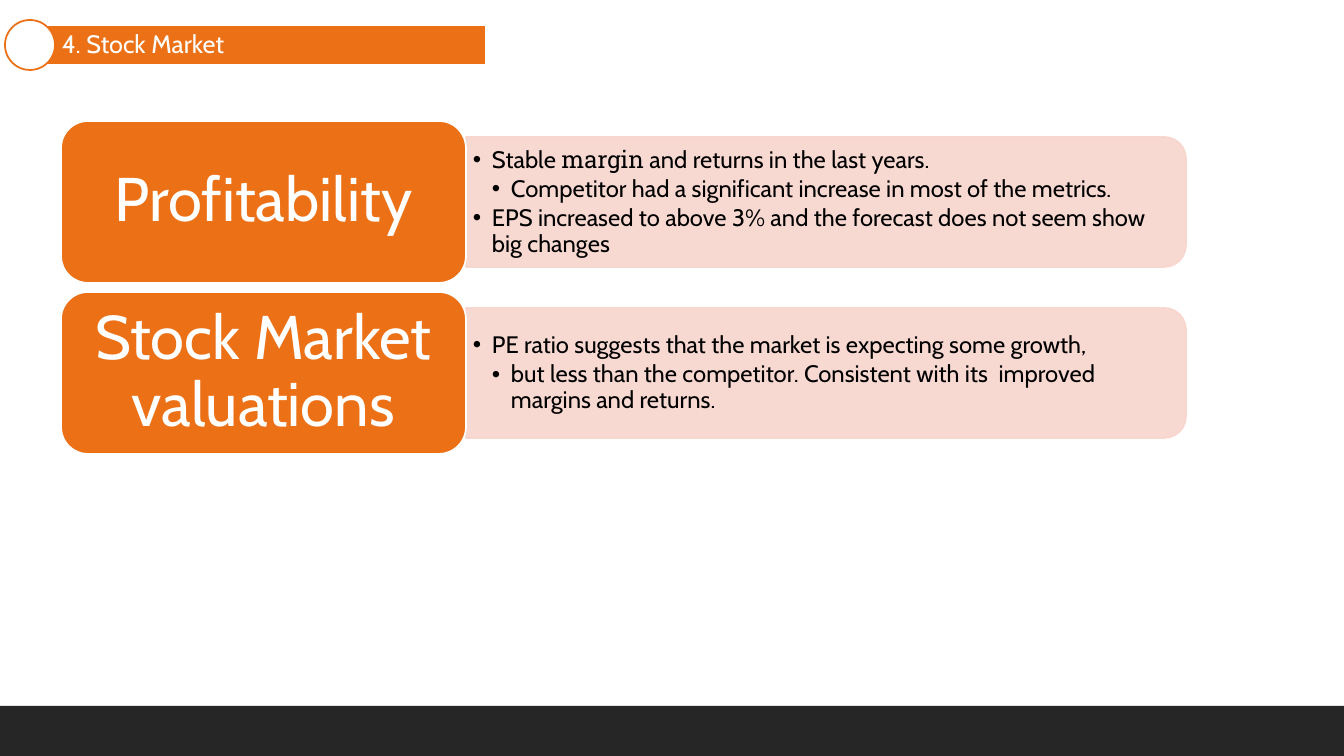
from dataclasses import dataclass

from lxml.etree import SubElement
from pptx import Presentation
from pptx.dml.color import RGBColor
from pptx.enum.shapes import MSO_SHAPE
from pptx.enum.text import MSO_ANCHOR, MSO_AUTO_SIZE, PP_ALIGN
from pptx.oxml.ns import qn
from pptx.util import Emu, Pt


@dataclass(frozen=True)
class Theme:
    """Colours, fonts and type sizes of the deck."""
    orange: str = "EC7016"
    pink: str = "F8D5CC"
    dark: str = "262626"
    white: str = "FFFFFF"
    black: str = "000000"
    font: str = "Cabin"
    accent_font: str = "Roboto Slab"
    title_size: int = 18
    tile_size: int = 44
    list_size: int = 17
    line_width: float = 1.25
    line_spacing: float = 0.9
    space_after: float = 2.5


def px(count):
    """Turn whole pixels into EMU."""
    return Emu(round(count * 914400 / 100.8))


class SlideBuilder:
    """Draws styled elements on the current slide."""

    def __init__(self, slide, theme):
        self.slide = slide
        self.theme = theme

    def paint(self, shape, fill, line=None):
        shape.fill.solid()
        shape.fill.fore_color.rgb = RGBColor.from_string(fill)
        if line:
            shape.line.color.rgb = RGBColor.from_string(line)
            shape.line.width = Pt(self.theme.line_width)
        else:
            shape.line.fill.background()

    def shape(self, kind, bounds, fill, line=None):
        shape = self.slide.shapes.add_shape(kind, *map(px, bounds))
        shape.shadow.inherit = False
        self.paint(shape, fill, line)
        return shape

    def placeholder(self, index, bounds):
        box = self.slide.placeholders[index]
        box.left, box.top, box.width, box.height = map(px, bounds)
        box.element.getparent().append(box.element)
        return box

    def frame(self, box, left, top, right, bottom):
        frame = box.text_frame
        frame.word_wrap = True
        frame.auto_size = MSO_AUTO_SIZE.NONE
        frame.vertical_anchor = MSO_ANCHOR.MIDDLE
        frame.margin_left, frame.margin_top = px(left), px(top)
        frame.margin_right, frame.margin_bottom = px(right), px(bottom)
        return frame

    def style(self, para, size, color, align):
        para.alignment = align
        para.line_spacing = self.theme.line_spacing
        para.space_before = Pt(0)
        para.font.name = self.theme.font
        para.font.size = Pt(size)
        para.font.color.rgb = RGBColor.from_string(color)

    def title(self, text, bounds):
        theme = self.theme
        box = self.placeholder(0, bounds)
        self.paint(box, theme.orange, theme.white)
        para = self.frame(box, 32, 5, 5, 5).paragraphs[0]
        para.text = text
        self.style(para, theme.title_size, theme.white, PP_ALIGN.LEFT)

    def panel(self, left, top, width, height):
        """Place a panel turned a quarter so its rounded end faces right."""
        shift = (width - height) // 2
        bounds = (left + shift, top - shift, height, width)
        panel = self.shape(MSO_SHAPE.ROUND_2_SAME_RECTANGLE, bounds,
                           self.theme.pink, self.theme.pink)
        panel.rotation = 90
        for color in panel.element.iter(qn("a:srgbClr")):
            SubElement(color, qn("a:alpha"), val="90000")

    def tile(self, text, bounds):
        theme = self.theme
        tile = self.shape(MSO_SHAPE.ROUNDED_RECTANGLE, bounds, theme.orange, theme.white)
        para = self.frame(tile, 18, 9, 18, 9).paragraphs[0]
        para.text = text
        self.style(para, theme.tile_size, theme.white, PP_ALIGN.CENTER)

    def bullets(self, index, items, bounds):
        theme = self.theme
        frame = self.frame(self.placeholder(index, bounds), 7, 4, 7, 4)
        for number, (level, spans) in enumerate(items):
            para = frame.add_paragraph() if number else frame.paragraphs[0]
            para.level = level
            properties = para._p.get_or_add_pPr()
            properties.set("marL", str(px(19 * level)))
            properties.set("indent", str(-px(19)))
            SubElement(properties, qn("a:buChar"), char="•")
            self.style(para, theme.list_size, theme.black, PP_ALIGN.LEFT)
            para.space_after = Pt(theme.space_after)
            for text, font in spans:
                span = para.add_run()
                span.text = text
                if font:
                    span.font.name = font


def main():
    theme = Theme()
    deck = Presentation()
    deck.slide_width, deck.slide_height = px(1344), px(756)
    page = SlideBuilder(deck.slides.add_slide(deck.slide_layouts[3]), theme)

    page.shape(MSO_SHAPE.RECTANGLE, (0, 706, 1344, 50), theme.dark)
    page.title("4. Stock Market", (30, 25, 456, 40))
    page.shape(MSO_SHAPE.OVAL, (5, 20, 50, 50), theme.white, theme.orange)

    topics = [
        ("Profitability", [
            (1, [("Stable ", None), ("margin", theme.accent_font),
                 (" and returns in the last years.", None)]),
            (2, [("Competitor had a significant increase in most of the metrics.", None)]),
            (1, [("EPS increased to above 3% and the forecast does not seem show "
                  "big changes", None)]),
        ]),
        ("Stock Market valuations", [
            (1, [("PE ratio suggests that the market is expecting some growth,", None)]),
            (2, [("but less than the competitor. Consistent with its  improved "
                  "margins and returns.", None)]),
        ]),
    ]
    for row, (heading, items) in enumerate(topics):
        top = 121 + 171 * row
        page.panel(466, top + 16, 720, 130)
        page.bullets(row + 1, items, (466, top + 23, 713, 117))
        page.tile(heading, (61, top, 405, 162))

    deck.save("out.pptx")


if __name__ == "__main__":
    main()
